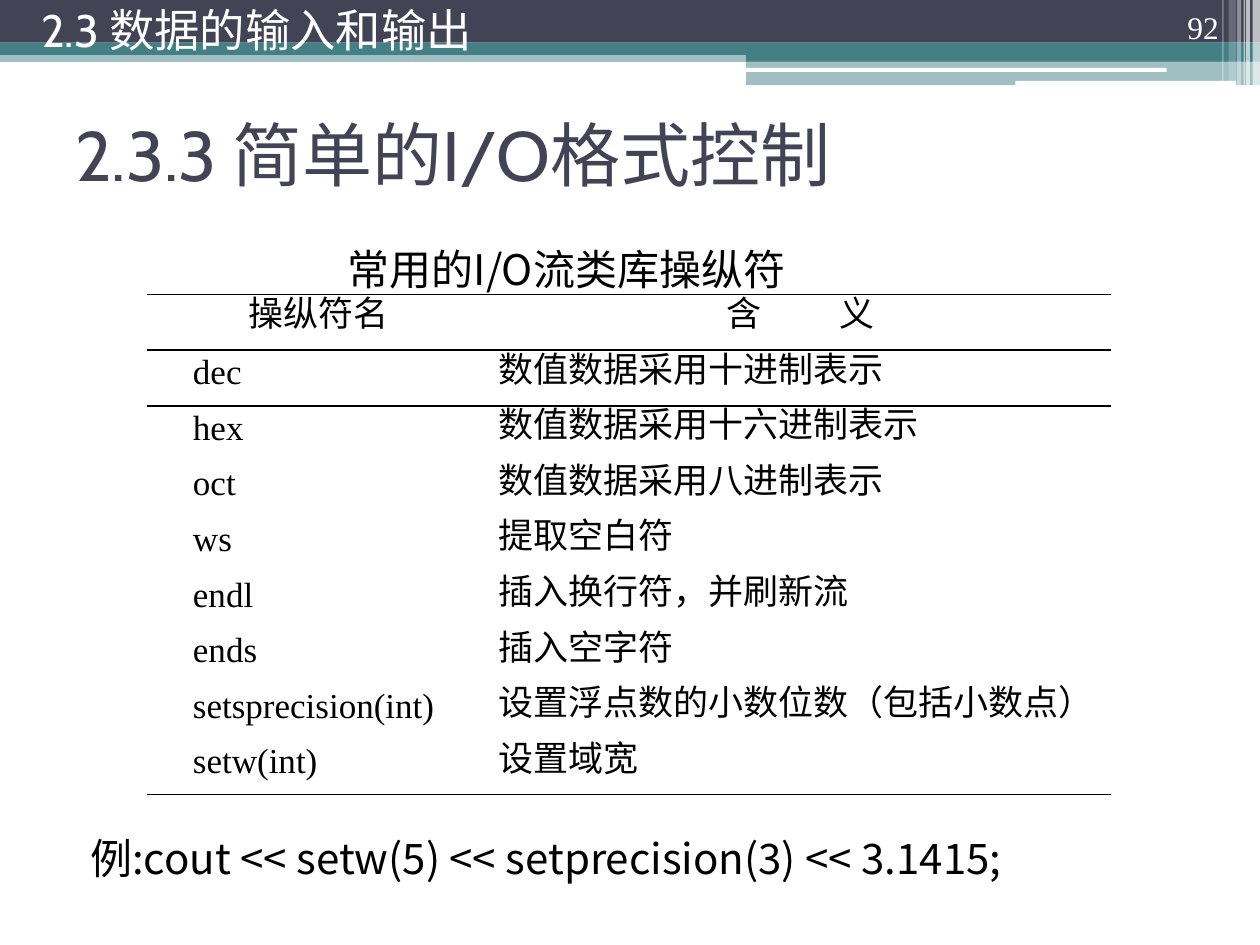
"""Build the slide on simple I/O format control with its table of stream manipulators."""
import dataclasses
import typing

import pptx
import pptx.dml.color
import pptx.enum.shapes
import pptx.enum.text
import pptx.oxml.ns
import pptx.oxml.xmlchemy
import pptx.slide
import pptx.table
import pptx.text.text
import pptx.util
from lxml import etree

Cm = pptx.util.Cm
Pt = pptx.util.Pt
qualified = pptx.oxml.ns.qn
Align = pptx.enum.text.PP_ALIGN
Anchor = pptx.enum.text.MSO_ANCHOR
Geometry = pptx.enum.shapes.MSO_SHAPE


@dataclasses.dataclass(frozen=True)
class Theme:
    navy: str = "424456"
    teal: str = "438086"
    white: str = "FFFFFF"
    black: str = "000000"
    heading_font: str = "Cabin"
    body_font: str = "Noto Sans CJK SC"
    serif_font: str = "Times New Roman"
    title_size: float = 40
    section_size: float = 25.9
    body_size: float = 24
    table_size: float = 20
    number_size: float = 18


THEME = Theme()


class Bar(typing.NamedTuple):
    left: float
    top: float
    width: float
    height: float
    color: str
    opacity: int = 100
    rounded: bool = False


class TextStyle(typing.NamedTuple):
    font: str
    size: float
    color: str


class Label(typing.NamedTuple):
    left: float
    top: float
    width: float
    height: float
    text: str
    style: TextStyle
    anchor: Anchor = Anchor.TOP
    align: Align = Align.LEFT


class Stripe(typing.NamedTuple):
    left: float
    width: float
    height: float
    opacity: int


BARS = [
    Bar(0, 1.02, 25.4, 0.23, THEME.teal, 50),
    Bar(0, 0, 25.4, 0.86, THEME.navy),
    Bar(0, 0.86, 25.4, 0.25, THEME.teal),
    Bar(15.04, 0.99, 10.36, 0.25, THEME.teal),
    Bar(15.04, 1.22, 10.36, 0.5, THEME.teal, 50),
    Bar(15.01, 1.37, 8.51, 0.08, THEME.white, rounded=True),
    Bar(20.47, 1.63, 4.45, 0.1, THEME.white, rounded=True),
]
STRIPES = [
    Stripe(25.25, 0.15, 1.73, 65),
    Stripe(25.12, 0.08, 1.73, 65),
    Stripe(25.07, 0.03, 1.73, 60),
    Stripe(24.94, 0.08, 1.73, 40),
    Stripe(24.77, 0.15, 1.63, 20),
    Stripe(24.64, 0.03, 1.63, 30),
]
BODY = TextStyle(THEME.body_font, THEME.body_size, THEME.black)
TABLE_TEXT = TextStyle(THEME.serif_font, THEME.table_size, THEME.black)
LABELS = [
    Label(1.27, 1.6, 22.86, 2.97, "2.3.3 简单的I/O格式控制",
          TextStyle(THEME.heading_font, THEME.title_size, THEME.navy), Anchor.MIDDLE),
    Label(22.71, 0.03, 2.11, 1.02, "92",
          TextStyle(THEME.serif_font, THEME.number_size, THEME.white), Anchor.BOTTOM, Align.RIGHT),
    Label(0.58, 0, 22.43, 1.19, "2.3 数据的输入和输出",
          TextStyle(THEME.heading_font, THEME.section_size, THEME.white), Anchor.MIDDLE),
    Label(6.76, 4.78, 11.3, 1.3, "常用的I/O流类库操纵符", BODY),
    Label(1.57, 16.66, 21.64, 1.3, "例:cout << setw(5) << setprecision(3) << 3.1415;", BODY),
]
HEADER_SPACING = {"含 义": 20}
MANIPULATORS = [
    ("操纵符名", "含 义"),
    ("dec", "数值数据采用十进制表示"),
    ("hex", "数值数据采用十六进制表示"),
    ("oct", "数值数据采用八进制表示"),
    ("ws", "提取空白符"),
    ("endl", "插入换行符，并刷新流"),
    ("ends", "插入空字符"),
    ("setsprecision(int)", "设置浮点数的小数位数（包括小数点）"),
    ("setw(int)", "设置域宽"),
]
COLUMN_WIDTHS = (6.15, 13.28)
ROW_HEIGHT = 1.12


def add_bar(slide: pptx.slide.Slide, bar: Bar) -> None:
    geometry = Geometry.ROUNDED_RECTANGLE if bar.rounded else Geometry.RECTANGLE
    shape = slide.shapes.add_shape(geometry, Cm(bar.left), Cm(bar.top), Cm(bar.width), Cm(bar.height))
    shape.shadow.inherit = False
    shape.line.fill.background()
    shape.fill.solid()
    shape.fill.fore_color.rgb = pptx.dml.color.RGBColor.from_string(bar.color)
    if bar.opacity < 100:
        color = shape._element.spPr.find(".//" + qualified("a:srgbClr"))
        etree.SubElement(color, qualified("a:alpha"), val=str(bar.opacity * 1000))


def add_run(paragraph: pptx.text.text._Paragraph, text: str, style: TextStyle, spacing: float = 0) -> None:
    run = paragraph.add_run()
    run.text = text
    run.font.name = style.font
    run.font.size = Pt(style.size)
    run.font.color.rgb = pptx.dml.color.RGBColor.from_string(style.color)
    properties = run._r.get_or_add_rPr()
    etree.SubElement(properties, qualified("a:ea"), typeface=THEME.body_font)
    if spacing:
        properties.set("spc", str(round(spacing * 100)))


def add_label(slide: pptx.slide.Slide, label: Label) -> None:
    shape = slide.shapes.add_textbox(Cm(label.left), Cm(label.top), Cm(label.width), Cm(label.height))
    frame = shape.text_frame
    frame.word_wrap = True
    frame.vertical_anchor = label.anchor
    paragraph = frame.paragraphs[0]
    paragraph.alignment = label.align
    add_run(paragraph, label.text, label.style)


def add_border(cell: pptx.table._Cell, side: str) -> None:
    properties = cell._tc.get_or_add_tcPr()
    line = etree.SubElement(properties, qualified(f"a:{side}"), w=str(Pt(1)))
    fill = etree.SubElement(line, qualified("a:solidFill"))
    etree.SubElement(fill, qualified("a:srgbClr"), val=THEME.black)


def fill_cell(cell: pptx.table._Cell, text: str, row: int) -> None:
    cell.margin_left = cell.margin_right = Cm(0.18)
    cell.margin_top, cell.margin_bottom = Cm(0.3), Cm(0)
    if row in (0, 1):
        add_border(cell, "lnT")
    if row in (0, len(MANIPULATORS) - 1):
        add_border(cell, "lnB")
    cell.fill.background()
    paragraph = cell.text_frame.paragraphs[0]
    paragraph.alignment = Align.JUSTIFY if row else Align.CENTER
    paragraph.line_spacing = Pt(15.6)
    paragraph._p.get_or_add_pPr().set("indent", str(Cm(0.74)))
    spacing = HEADER_SPACING.get(text, 0)
    if spacing:
        add_run(paragraph, text[:-1], TABLE_TEXT, spacing)
        add_run(paragraph, text[-1], TABLE_TEXT)
    else:
        add_run(paragraph, text, TABLE_TEXT)


def add_manipulator_table(slide: pptx.slide.Slide) -> None:
    row_count = len(MANIPULATORS)
    table = slide.shapes.add_table(row_count, len(COLUMN_WIDTHS), Cm(2.97), Cm(5.94),
                                   Cm(sum(COLUMN_WIDTHS)), Cm(ROW_HEIGHT * row_count)).table
    table.first_row = table.horz_banding = False
    style = table._tbl.tblPr.find(qualified("a:tableStyleId"))
    style.text = "{2D5ABB26-0587-4C30-8999-92F81FD0307C}"
    for column, width in zip(table.columns, COLUMN_WIDTHS):
        column.width = Cm(width)
    for row, texts in enumerate(MANIPULATORS):
        table.rows[row].height = Cm(ROW_HEIGHT)
        for column, text in enumerate(texts):
            fill_cell(table.cell(row, column), text, row)


def main() -> None:
    presentation = pptx.Presentation()
    presentation.slide_width, presentation.slide_height = Cm(25.4), Cm(19.05)
    slide = presentation.slides.add_slide(presentation.slide_layouts[6])
    for bar in BARS:
        add_bar(slide, bar)
    for stripe in STRIPES:
        add_bar(slide, Bar(stripe.left, 0, stripe.width, stripe.height, THEME.white, stripe.opacity))
    add_manipulator_table(slide)
    for label in LABELS:
        add_label(slide, label)
    presentation.save("out.pptx")


if __name__ == "__main__":
    main()
